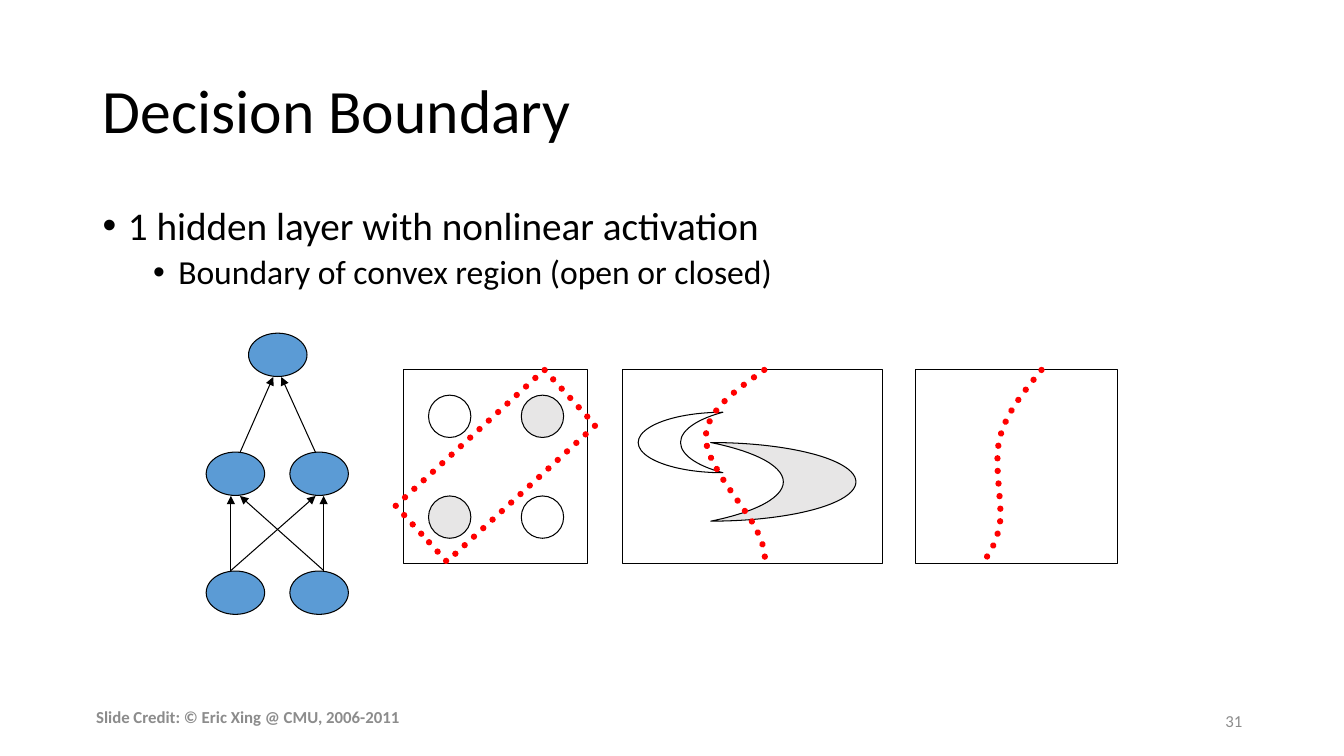
from dataclasses import dataclass
from itertools import product

from lxml.etree import SubElement
from pptx import Presentation
from pptx.dml.color import RGBColor
from pptx.enum.dml import MSO_LINE_DASH_STYLE as Dash
from pptx.enum.shapes import MSO_AUTO_SHAPE_TYPE as Shape, MSO_CONNECTOR_TYPE as Connector
from pptx.enum.text import MSO_VERTICAL_ANCHOR as Anchor, PP_PARAGRAPH_ALIGNMENT as Align
from pptx.oxml.ns import qn
from pptx.util import Inches, Pt


@dataclass(frozen=True)
class Theme:
    font: str = "Calibri"
    ink: RGBColor = RGBColor(0, 0, 0)
    muted: RGBColor = RGBColor(0x8C, 0x8C, 0x8C)
    neuron: RGBColor = RGBColor(0x5B, 0x9B, 0xD5)
    class_a: RGBColor = RGBColor(0xFF, 0xFF, 0xFF)
    class_b: RGBColor = RGBColor(0xE7, 0xE6, 0xE6)
    boundary: RGBColor = RGBColor(0xFF, 0, 0)
    title_size: int = 44
    bullet_sizes: tuple = (28, 24)
    footer_size: int = 12
    thin: float = 0.75
    thick: float = 4.5


THEME = Theme()


def apply(target, values):
    for name, value in values.items():
        setattr(target, name, value)


def style_font(paragraph, size, color=THEME.ink, bold=False):
    font = paragraph.runs[0].font
    apply(font, {"name": THEME.font, "size": Pt(size), "bold": bold})
    font.color.rgb = color


def style_line(line, color=THEME.ink, width=THEME.thin):
    line.color.rgb = color
    line.width = Pt(width)


def style_outline(shape, fill=None):
    shape.shadow.inherit = False
    if fill is None:
        shape.fill.background()
    else:
        shape.fill.solid()
        shape.fill.fore_color.rgb = fill
    style_line(shape.line)


def add_figure(slide, kind, left, top, width, height, fill=None):
    shape = slide.shapes.add_shape(
        kind, Inches(left), Inches(top), Inches(width), Inches(height))
    style_outline(shape, fill)
    return shape


def add_arrow(slide, start, end):
    points = [Inches(value) for value in (*start, *end)]
    arrow = slide.shapes.add_connector(Connector.STRAIGHT, *points)
    style_line(arrow.line)
    properties = arrow._element.spPr
    SubElement(properties.find(qn("a:ln")), qn("a:tailEnd"), type="triangle")
    SubElement(properties, qn("a:effectLst"))


def style_boundary(shape):
    style_outline(shape)
    style_line(shape.line, THEME.boundary, THEME.thick)
    shape.line.dash_style = Dash.ROUND_DOT
    line = shape._element.spPr.find(qn("a:ln"))
    line.set("cap", "rnd")
    SubElement(line, qn("a:round"))


def add_boundary_curve(slide, knots):
    start, *controls = [(Inches(x), Inches(y)) for x, y in knots]
    builder = slide.shapes.build_freeform(*start)
    builder.add_line_segments(controls, close=False)
    shape = builder.convert_to_shape()
    segments = list(shape._element.iter(qn("a:lnTo")))
    for first in range(0, len(segments), 3):
        curve = SubElement(segments[first].getparent(), qn("a:cubicBezTo"))
        for segment in segments[first:first + 3]:
            curve.append(segment[0])
            segment.getparent().remove(segment)
    style_boundary(shape)


def add_text_box(slide, left, top, width, height, anchor):
    box = slide.shapes.add_textbox(
        Inches(left), Inches(top), Inches(width), Inches(height))
    apply(box.text_frame, {"word_wrap": True, "vertical_anchor": anchor})
    return box.text_frame


def add_title(slide, text):
    title = slide.shapes.title
    apply(title, {"left": Inches(0.92), "top": Inches(0.4),
                  "width": Inches(11.5), "height": Inches(1.45)})
    title.text_frame.text = text
    title.text_frame.vertical_anchor = Anchor.MIDDLE
    paragraph = title.text_frame.paragraphs[0]
    apply(paragraph, {"alignment": Align.LEFT, "line_spacing": 0.9})
    style_font(paragraph, THEME.title_size)


def add_bullets(slide, lines):
    frame = add_text_box(slide, 0.92, 2, 11.5, 4.76, Anchor.TOP)
    for level, text in enumerate(lines):
        paragraph = frame.paragraphs[0] if level == 0 else frame.add_paragraph()
        paragraph.text = text
        properties = paragraph._p.get_or_add_pPr()
        properties.set("marL", str(Inches(0.25 + 0.5 * level)))
        properties.set("indent", str(Inches(-0.25)))
        SubElement(properties, qn("a:buFont"), typeface="Arial")
        SubElement(properties, qn("a:buChar"), char="•")
        apply(paragraph, {"level": level, "line_spacing": 0.9,
                          "space_before": Pt(5 * level)})
        style_font(paragraph, THEME.bullet_sizes[level])


def add_footer(slide, text, left, top, width, alignment, bold=False):
    frame = add_text_box(slide, left, top, width, 0.4, Anchor.MIDDLE)
    frame.text = text
    frame.paragraphs[0].alignment = alignment
    style_font(frame.paragraphs[0], THEME.footer_size, THEME.muted, bold)


def add_network(slide):
    for left, top in ((2.54, 3.23), *product((2.12, 2.95), (4.41, 5.59))):
        neuron = add_figure(slide, Shape.OVAL, left, top, 0.43, 0.58, THEME.neuron)
        neuron.rotation = 270
    arrows = [((2.38, 4.49), (2.71, 3.74)), ((3.13, 4.49), (2.79, 3.74))]
    for source, targets in ((2.29, (2.29, 3.13)), (3.21, (2.38, 3.21))):
        arrows += [((source, 5.66), (target, 4.92)) for target in targets]
    for start, end in arrows:
        add_arrow(slide, start, end)


def add_xor_classes(slide):
    fills = (THEME.class_a, THEME.class_b)
    for row, column in product(range(2), repeat=2):
        add_figure(slide, Shape.OVAL, 4.25 + 0.92 * column, 3.92 + row,
                   0.42, 0.42, fills[(row + column) % 2])


def add_moons(slide):
    add_figure(slide, Shape.MOON, 6.33, 4.09, 0.84, 0.6, THEME.class_a)
    moon = add_figure(slide, Shape.MOON, 7.05, 4.39, 1.44, 0.78, THEME.class_b)
    moon._element.spPr.find(qn("a:xfrm")).set("flipH", "1")


def add_panels(slide):
    for left, width in ((4, 1.83), (6.17, 2.58), (9.08, 2)):
        add_figure(slide, Shape.RECTANGLE, left, 3.67, width, 1.92)


def add_boundaries(slide):
    band = add_figure(slide, Shape.RECTANGLE, 4.54, 3.62, 0.75, 2)
    band.rotation = 47.5
    style_boundary(band)
    add_boundary_curve(slide, [
        (7.58, 3.67), (7.3, 3.87), (7.01, 4.07), (7, 4.33), (6.99, 4.6),
        (7.4, 5.04), (7.5, 5.25), (7.6, 5.46), (7.59, 5.52), (7.58, 5.58)])
    add_boundary_curve(slide, [
        (10.33, 3.67), (10.16, 3.88), (9.99, 4.08), (9.92, 4.33), (9.85, 4.58),
        (9.94, 4.96), (9.92, 5.17), (9.89, 5.38), (9.82, 5.48), (9.75, 5.58)])


def main():
    presentation = Presentation()
    apply(presentation, {"slide_width": Inches(13.33), "slide_height": Inches(7.5)})
    slide = presentation.slides.add_slide(presentation.slide_layouts[5])
    add_title(slide, "Decision Boundary")
    add_bullets(slide, ("1 hidden layer with nonlinear activation",
                        "Boundary of convex region (open or closed)"))
    add_network(slide)
    add_xor_classes(slide)
    add_moons(slide)
    add_panels(slide)
    add_boundaries(slide)
    add_footer(slide, "31", 9.42, 6.95, 3, Align.RIGHT)
    add_footer(slide, "Slide Credit: © Eric Xing @ CMU, 2006-2011",
               0.21, 6.91, 4.5, Align.CENTER, bold=True)
    presentation.save("out.pptx")


if __name__ == "__main__":
    main()
